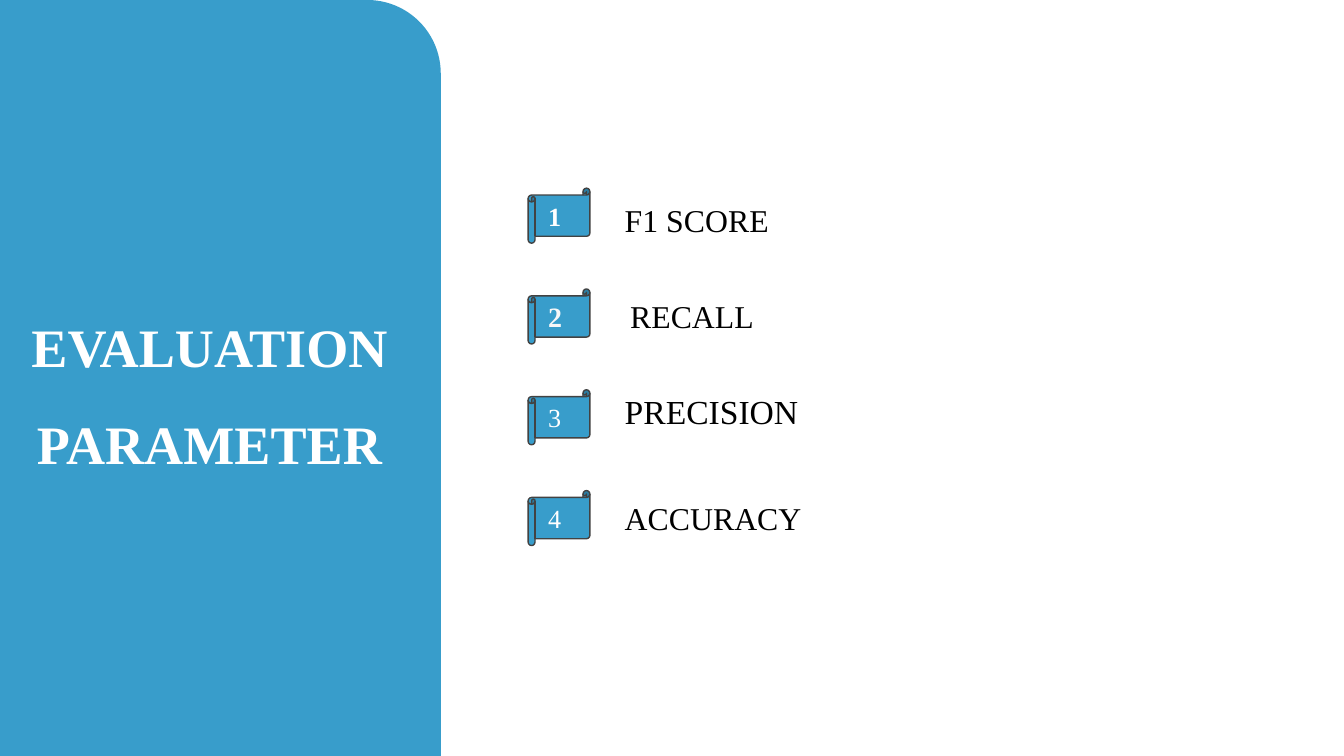
"""Build the evaluation parameter slide."""
import pptx
import pptx.dml.color
import pptx.enum.shapes
import pptx.enum.text
import pptx.util

Inches = pptx.util.Inches
Shape = pptx.enum.shapes.MSO_SHAPE
Anchor = pptx.enum.text.MSO_ANCHOR
Align = pptx.enum.text.PP_ALIGN
AutoSize = pptx.enum.text.MSO_AUTO_SIZE

TITLE = ["EVALUATION", "PARAMETER"]
ITEMS = [
    {"number": "1", "size": 14, "bold": True, "ink": "white",
     "label": "F1 SCORE", "left": 4.55, "top": 1.39, "label_size": 17},
    {"number": "2", "size": 15, "bold": True, "ink": "pale",
     "label": "RECALL", "left": 4.59, "top": 2.11, "label_size": 17},
    {"number": "3", "size": 14, "bold": False, "ink": "white",
     "label": "PRECISION", "left": 4.55, "top": 2.81, "label_size": 18},
    {"number": "4", "size": 14, "bold": False, "ink": "white",
     "label": "ACCURACY", "left": 4.55, "top": 3.61, "label_size": 17},
]
COLORS = {"blue": "389DCB", "outline": "424242", "white": "FFFFFF",
          "pale": "F7F7F8", "black": "000000"}
FONT = "Times New Roman"
SLIDE_WIDTH = 10
SLIDE_HEIGHT = SLIDE_WIDTH * 9 / 16
PANEL = (0, 0, 3.28, SLIDE_HEIGHT)
TITLE_PLACE = (0, 0, 3.12, SLIDE_HEIGHT)
SCROLL_LEFT, SCROLL_TOP, SCROLL_STEP = 3.93, 1.4, 0.75
SCROLL_SIZE = (0.46, 0.41)
LABEL_SIZE = (3.28, 0.49)


def color(name):
    return pptx.dml.color.RGBColor.from_string(COLORS[name])


def write(box, lines, size, ink, bold=False, anchor=Anchor.TOP,
          align=Align.LEFT, spacing=1.0, auto_size=AutoSize.NONE):
    frame = box.text_frame
    frame.text = "\n".join(lines)
    margins = {f"margin_{side}": Inches(0.1)
               for side in ("left", "top", "right", "bottom")}
    frame_format = {"word_wrap": True, "vertical_anchor": anchor,
                    "auto_size": auto_size, **margins}
    for name, value in frame_format.items():
        setattr(frame, name, value)
    para_format = {"alignment": align, "line_spacing": spacing,
                   "space_before": 0, "space_after": 0}
    font_format = {"name": FONT, "size": pptx.util.Pt(size), "bold": bold}
    for para in frame.paragraphs:
        for name, value in para_format.items():
            setattr(para, name, value)
        for span in para.runs:
            for name, value in font_format.items():
                setattr(span.font, name, value)
            span.font.color.rgb = color(ink)


def add_blue_shape(page, kind, place, adjustment):
    shape = page.shapes.add_shape(kind, *map(Inches, place))
    shape.adjustments[0] = adjustment
    shape.shadow.inherit = False
    shape.fill.solid()
    shape.fill.fore_color.rgb = color("blue")
    shape.line.fill.background()
    return shape


def add_title_panel(page):
    title = page.shapes.title
    panel = add_blue_shape(page, Shape.ROUND_1_RECTANGLE, PANEL, 0.167)
    title.element.addprevious(panel.element)
    for name, value in zip(("left", "top", "width", "height"), TITLE_PLACE):
        setattr(title, name, Inches(value))
    write(title, TITLE, 29, "white", bold=True, anchor=Anchor.MIDDLE,
          align=Align.CENTER, spacing=1.5)


def add_item(page, index, item):
    place = (SCROLL_LEFT, SCROLL_TOP + index * SCROLL_STEP, *SCROLL_SIZE)
    scroll = add_blue_shape(page, Shape.HORIZONTAL_SCROLL, place, 0.125)
    scroll.line.color.rgb = color("outline")
    scroll.line.width = pptx.util.Pt(0.75)
    write(scroll, [item["number"]], item["size"], item["ink"],
          bold=item["bold"], anchor=Anchor.MIDDLE)
    label = page.shapes.add_textbox(
        *map(Inches, (item["left"], item["top"], *LABEL_SIZE)))
    write(label, [item["label"]], item["label_size"], "black",
          auto_size=AutoSize.SHAPE_TO_FIT_TEXT)


def main():
    deck = pptx.Presentation()
    deck.slide_width = Inches(SLIDE_WIDTH)
    deck.slide_height = Inches(SLIDE_HEIGHT)
    page = deck.slides.add_slide(deck.slide_layouts.get_by_name("Title Only"))
    add_title_panel(page)
    for index, item in enumerate(ITEMS):
        add_item(page, index, item)
    deck.save("out.pptx")


if __name__ == "__main__":
    main()
